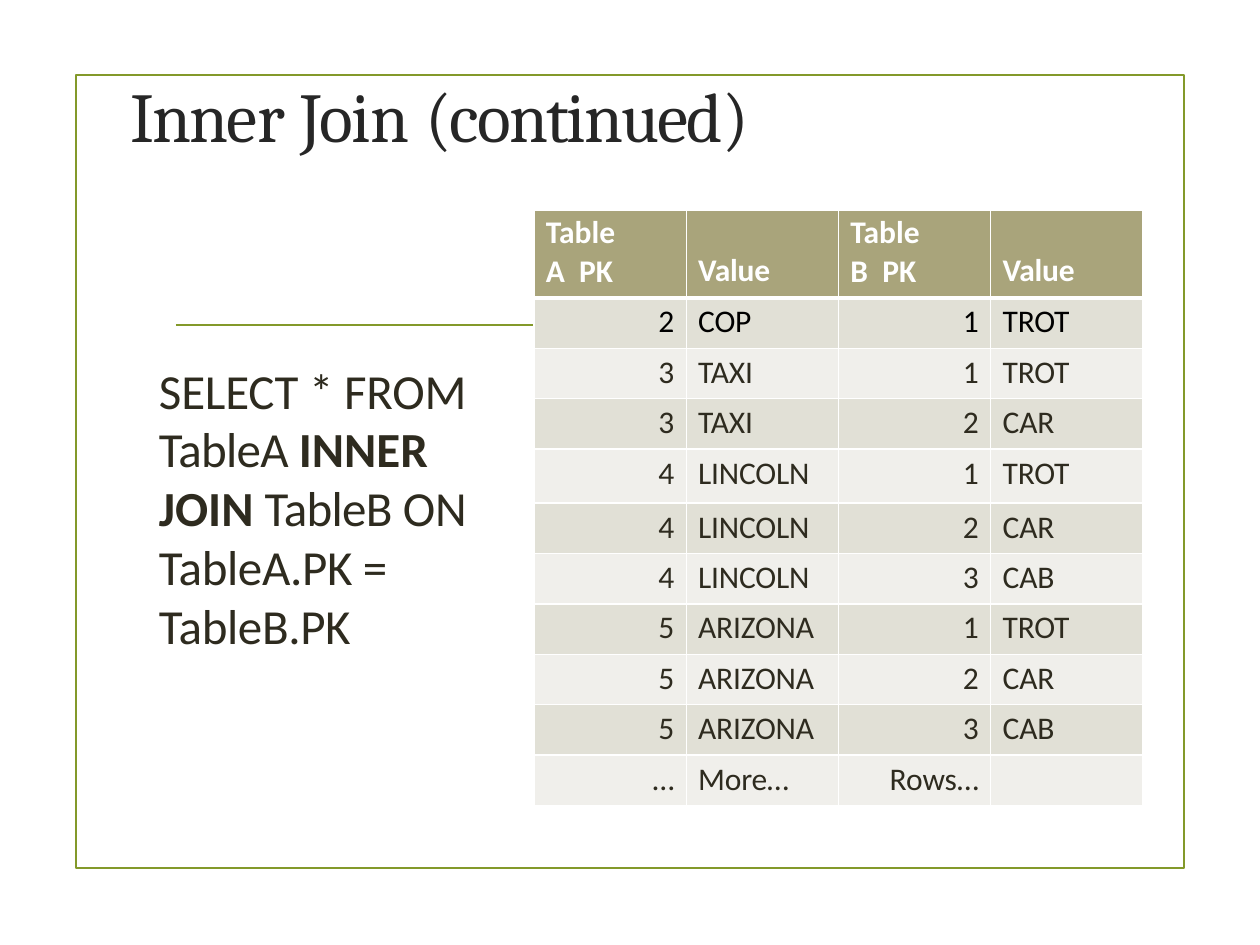
"""Build the slide explaining an inner join with its result table."""
from lxml.etree import SubElement
from pptx import Presentation
from pptx.dml.color import RGBColor
from pptx.enum.shapes import MSO_CONNECTOR as Connector, MSO_SHAPE as Shape
from pptx.enum.text import MSO_ANCHOR as Anchor, PP_ALIGN as Align
from pptx.oxml.ns import qn
from pptx.util import Emu, Pt

GREEN = RGBColor(0x83, 0x99, 0x2A)
CHARCOAL = RGBColor(0x26, 0x26, 0x26)
INK = RGBColor(0x2E, 0x2B, 0x1F)
BLACK = RGBColor(0, 0, 0)
WHITE = RGBColor(0xFF, 0xFF, 0xFF)
HEADER_FILL = RGBColor(0xA9, 0xA4, 0x7B)
BAND_FILLS = (RGBColor(0xE1, 0xE0, 0xD6), RGBColor(0xF0, 0xEF, 0xEB))

TITLE = [("Inne", -1.1), ("r ", 0), ("Joi", -1.1), ("n ", 0),
         ("(continued", -1.1), (")", 0)]
QUERY = [
    [("SELECT * FROM", -0.1, False)],
    [("TableA ", -0.4, False), ("INNER JOIN ", 0, True),
     ("TableB ", -0.4, False), ("ON ", -0.1, False),
     ("TableA.PK = TableB.PK", -0.2, False)],
]
HEADER = ("Table\vA  PK", "Value", "Table\vB  PK", "Value")
ROWS = [
    ("2", "COP", "1", "TROT"),
    ("3", "TAXI", "1", "TROT"),
    ("3", "TAXI", "2", "CAR"),
    ("4", "LINCOLN", "1", "TROT"),
    ("4", "LINCOLN", "2", "CAR"),
    ("4", "LINCOLN", "3", "CAB"),
    ("5", "ARIZONA", "1", "TROT"),
    ("5", "ARIZONA", "2", "CAR"),
    ("5", "ARIZONA", "3", "CAB"),
    ("…", "More…", "Rows…", ""),
]
TABLE_LEFT, TABLE_TOP, TABLE_WIDTH, TABLE_HEIGHT = 534, 210, 609, 596
HEADER_HEIGHT, TALL_HEIGHT, TALL_ROW = 88, 54, 4
PIXEL = 914400 / 126


def px(length):
    return Emu(round(length * PIXEL))


def add_run(paragraph, text, size, color, font="Calibri", bold=False, spacing=0):
    run = paragraph.add_run()
    run.text = text
    run.font.name, run.font.size, run.font.bold = font, Pt(size), bold
    run.font.color.rgb = color
    if spacing:
        run.font._element.set("spc", str(round(spacing * 100)))


def add_frame(left, top, width, height):
    frame = slide.shapes.add_textbox(*map(px, (left, top, width, height))).text_frame
    frame.word_wrap = True
    frame.margin_left = frame.margin_right = frame.margin_bottom = 0
    frame.margin_top = px(1)
    return frame


def set_borders(cell, top, bottom):
    properties = cell._tc.get_or_add_tcPr()
    for side, points in (("L", 1), ("R", 1), ("T", top), ("B", bottom)):
        border = SubElement(properties, qn("a:ln" + side), w=str(Pt(points)))
        fill = SubElement(border, qn("a:solidFill"))
        SubElement(fill, qn("a:srgbClr"), val=str(WHITE))


deck = Presentation()
deck.slide_width, deck.slide_height = px(1260), px(945)
slide = deck.slides.add_slide(deck.slide_layouts[6])

border = slide.shapes.add_shape(Shape.RECTANGLE, px(76), px(75), px(1108), px(793))
border.shadow.inherit = False
border.fill.background()
rule = slide.shapes.add_connector(Connector.STRAIGHT, px(176), px(325), px(1085), px(325))
SubElement(rule._element.spPr, qn("a:effectLst"))
for outline in (border.line, rule.line):
    outline.color.rgb = GREEN
    outline.width = Pt(1.25)

title = add_frame(74, 64, 732, 101)
title.vertical_anchor = Anchor.MIDDLE
title.paragraphs[0].alignment = Align.CENTER
for text, spacing in TITLE:
    add_run(title.paragraphs[0], text, 40, CHARCOAL, "Cambria", spacing=spacing)

query = add_frame(158, 359, 346, 299)
for index, runs in enumerate(QUERY):
    paragraph = query.add_paragraph() if index else query.paragraphs[0]
    for text, spacing, bold in runs:
        add_run(paragraph, text, 28, INK, bold=bold, spacing=spacing)
    paragraph._p.get_or_add_pPr().set("marL", str(px(1)))

join = slide.shapes.add_table(
    len(ROWS) + 1, len(HEADER),
    *map(px, (TABLE_LEFT, TABLE_TOP, TABLE_WIDTH, TABLE_HEIGHT))).table
for column in join.columns:
    column.width = px(TABLE_WIDTH / len(HEADER))
row_height = (TABLE_HEIGHT - HEADER_HEIGHT - TALL_HEIGHT) / (len(ROWS) - 1)
special_heights = {0: HEADER_HEIGHT, TALL_ROW: TALL_HEIGHT}

for r, values in enumerate([HEADER] + ROWS):
    is_header = r == 0
    join.rows[r].height = px(special_heights.get(r, row_height))
    color = WHITE if is_header else BLACK if r == 1 else INK
    for c, value in enumerate(values):
        cell = join.cell(r, c)
        set_borders(cell, 3 if r == 1 else 1, 3 if is_header else 1)
        cell.fill.solid()
        cell.fill.fore_color.rgb = HEADER_FILL if is_header else BAND_FILLS[(r - 1) % 2]
        cell.margin_left = cell.margin_right = px(12)
        cell.margin_top = px(4 if is_header else 5)
        cell.margin_bottom = px(8 if is_header else 0)
        cell.vertical_anchor = Anchor.BOTTOM if is_header else Anchor.TOP
        paragraph = cell.text_frame.paragraphs[0]
        paragraph.alignment = Align.LEFT if is_header or c % 2 else Align.RIGHT
        for index, line in enumerate(value.split("\v") if value else []):
            if index:
                paragraph.add_line_break()
            add_run(paragraph, line, 18, color, bold=is_header,
                    spacing=-0.1 if c % 2 else 0)

deck.save("out.pptx")
